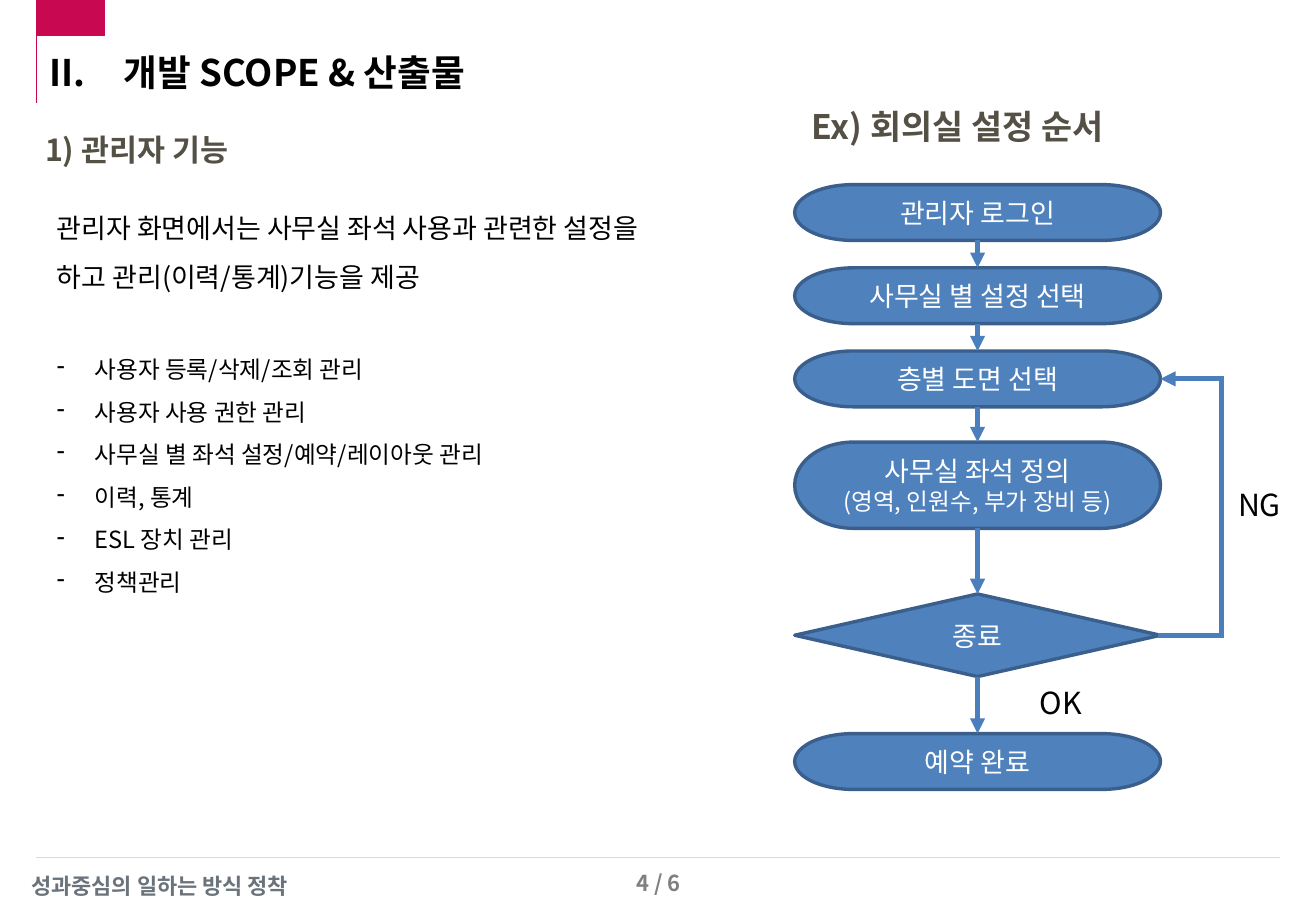
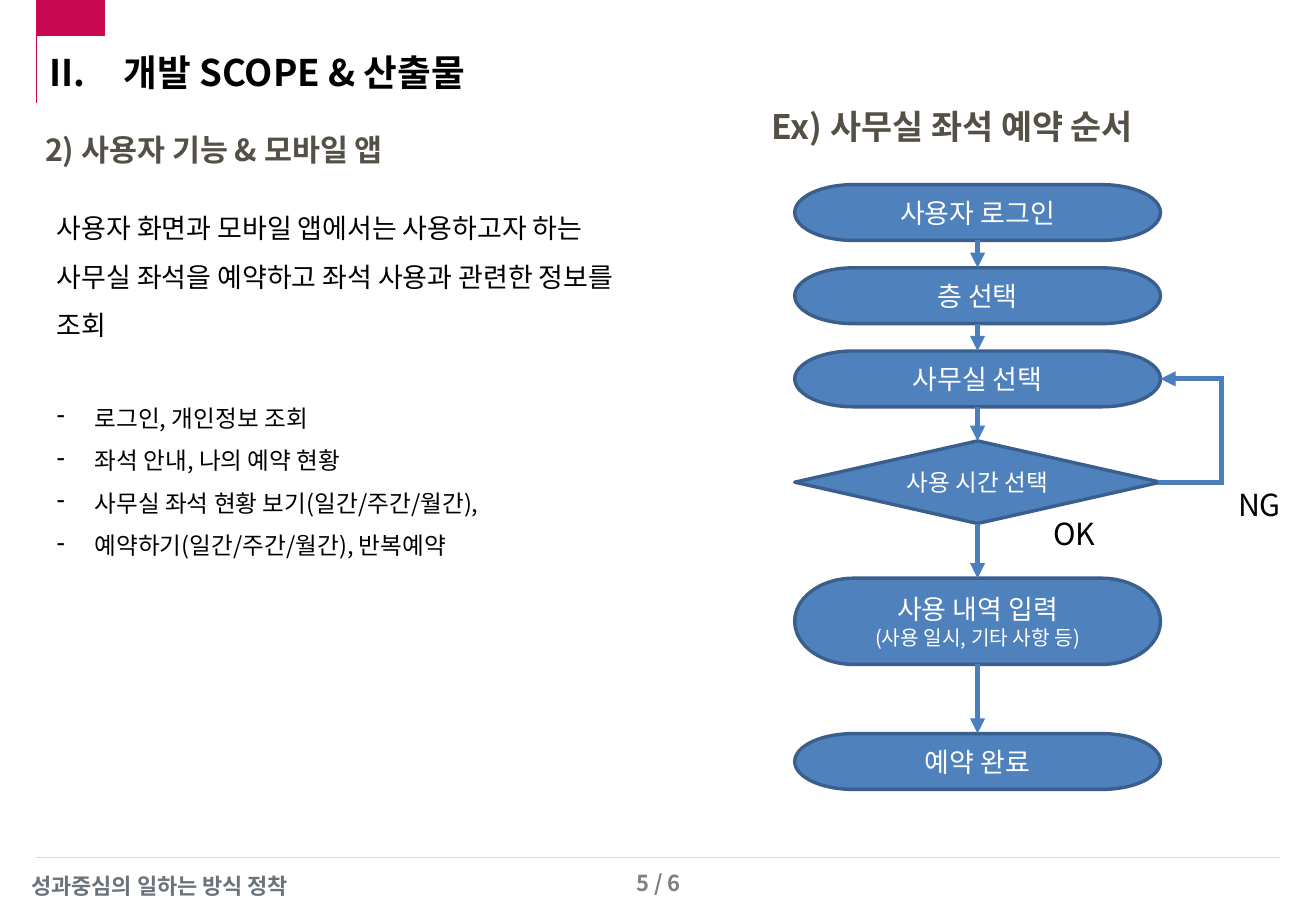
from itertools import pairwise

from lxml.etree import SubElement
from pptx import Presentation
from pptx.dml.color import RGBColor
from pptx.enum.shapes import MSO_CONNECTOR, MSO_SHAPE
from pptx.enum.text import MSO_ANCHOR, PP_ALIGN
from pptx.oxml.ns import qn
from pptx.util import Inches, Pt

WIDTH, HEIGHT = Inches(10.83), Inches(7.5)
FONT = "Noto Sans CJK KR"
COLORS = {
    "accent": "C80850", "rule": "D9D9D9", "page": "808080", "footer": "6A737B",
    "black": "000000", "heading": "545045", "white": "FFFFFF",
    "step": "4F81BD", "step edge": "3A5F8C", "arrow": "4B7EBC",
}
STYLES = {
    "title": ({"size": Pt(21.7), "bold": True}, "black"),
    "section": ({"size": Pt(18), "bold": True}, "heading"),
    "example": ({"size": Pt(20), "bold": True}, "heading"),
    "intro": ({"size": Pt(16)}, "black"),
    "item": ({"size": Pt(14)}, "black"),
    "branch": ({"size": Pt(18)}, "black"),
    "page": ({"size": Pt(13), "bold": True}, "page"),
    "footer": ({"size": Pt(13), "bold": True, "name": "Arial"}, "footer"),
}
TIGHT = {"margin_left": Inches(0.04), "margin_right": Inches(0.04),
         "margin_top": 0, "margin_bottom": 0}
FREE = {"word_wrap": False}

# Flow chart column and rows, in percent of the slide
FLOW_LEFT, FLOW_WIDTH, LOOP_X = 60.39, 27.79, 92.8
FIRST_ROW, ROW_PITCH, LAST_ROW = 20.27, 9.13, 80.53
STEP, TALL_STEP, DECISION = 6.13, 9.47, 9.07


def across(percent):
    return round(WIDTH * percent / 100)


def down(percent):
    return round(HEIGHT * percent / 100)


def place(left, top, width, height):
    """Turn percentages of the slide into a position and size."""
    return across(left), down(top), across(width), down(height)


def color(name):
    return RGBColor.from_string(COLORS[name])


def apply(target, values):
    for name, value in values.items():
        setattr(target, name, value)


def add_span(para, text, values, color_name):
    span = para.add_run()
    span.text = text
    apply(span.font, {"name": FONT} | values)
    span.font.color.rgb = color(color_name)
    SubElement(span.font._element, qn("a:ea"), typeface=FONT)


def add_text(page, area, text, style, frame_values=None, align=PP_ALIGN.LEFT):
    frame = page.shapes.add_textbox(*place(*area)).text_frame
    apply(frame, {"word_wrap": True} | (frame_values or {}))
    para = frame.paragraphs[0]
    para.alignment = align
    add_span(para, text, *STYLES[style])
    return frame


def add_bullet(para, hang, tag, **values):
    """Give a paragraph a hanging bullet or number."""
    properties = para._p.get_or_add_pPr()
    properties.set("marL", str(Inches(hang)))
    properties.set("indent", str(-Inches(hang)))
    SubElement(properties, qn(tag), **values)


def add_shape(page, kind, area, fill, edge, weight):
    shape = page.shapes.add_shape(kind, *place(*area))
    shape.shadow.inherit = False
    shape.fill.solid()
    shape.fill.fore_color.rgb = color(fill)
    shape.line.color.rgb = color(edge)
    shape.line.width = Pt(weight)
    return shape


def add_line(page, start, end, color_name, weight, arrow=False):
    """Draw between points in percent, or (shape, side) pairs that are joined."""
    points = [point if isinstance(point[0], (int, float)) else (0, 0) for point in (start, end)]
    line = page.shapes.add_connector(
        MSO_CONNECTOR.STRAIGHT,
        *(value for x, y in points for value in (across(x), down(y))))
    for target, join in ((start, line.begin_connect), (end, line.end_connect)):
        if not isinstance(target[0], (int, float)):
            join(*target)
    line.line.color.rgb = color(color_name)
    line.line.width = Pt(weight)
    outline = line.line._get_or_add_ln()
    if arrow:
        SubElement(outline, qn("a:tailEnd"), type="triangle")
    else:
        outline.set("cap", "sq")
    SubElement(line._element.spPr, qn("a:effectLst"))


def add_frame(page, number):
    """Add the band, title and footer that every page shares."""
    add_text(page, (39.61, 94.8, 20.87, 4.53), f"{number} / 6", "page", align=PP_ALIGN.CENTER)
    add_line(page, (2.77, 0), (2.77, 11.2), "accent", 0.75)
    add_shape(page, MSO_SHAPE.RECTANGLE, (2.77, 0, 5.17, 3.87), "accent", "accent", 0.5)
    add_line(page, (2.77, 94.13), (97.23, 94.13), "rule", 0.75)
    add_text(page, (1.48, 95.07, 23.82, 4.27), "성과중심의 일하는 방식 정착", "footer", FREE)
    title = add_text(page, (2.86, 4.8, 72.48, 5.2), "개발 SCOPE & 산출물", "title")
    add_bullet(title.paragraphs[0], 0.61, "a:buAutoNum", type="romanUcPeriod", startAt="2")


def add_description(page, intro, items, height):
    frame = add_text(page, (3.42, 20.8, 46.54, height), intro, "intro")
    frame.paragraphs[0].line_spacing = 1.5
    for index, item in enumerate(items):
        para = frame.add_paragraph()
        para.line_spacing = 1.5
        if index == 0:
            para.space_before = Pt(28.8)
        add_bullet(para, 0.31, "a:buChar", char="-")
        add_span(para, item, *STYLES["item"])


def add_step(page, top, height, *lines):
    kind = (MSO_SHAPE.FLOWCHART_DECISION if height == DECISION
            else MSO_SHAPE.FLOWCHART_TERMINATOR)
    step = add_shape(page, kind, (FLOW_LEFT, top, FLOW_WIDTH, height), "step", "step edge", 2)
    frame = step.text_frame
    apply(frame, {"word_wrap": True, "vertical_anchor": MSO_ANCHOR.MIDDLE})
    for index, (text, size) in enumerate(lines):
        para = frame.add_paragraph() if index else frame.paragraphs[0]
        para.alignment = PP_ALIGN.CENTER
        add_span(para, text, {"size": Pt(size)}, "white")
    return step


def add_flow(page, opening, middle, decision, ok_at):
    """Chain the steps, with a loop from the decision back to the third one."""
    rows = [(FIRST_ROW + index * ROW_PITCH, STEP, (text, 16))
            for index, text in enumerate(opening)]
    rows += middle + [(LAST_ROW, STEP, ("예약 완료", 16))]
    steps = [add_step(page, *row) for row in rows]
    for upper, lower in pairwise(steps):
        add_line(page, (upper, 2), (lower, 0), "arrow", 3, arrow=True)

    low = rows[decision][0] + DECISION / 2
    high = rows[2][0] + STEP / 2
    add_line(page, (steps[decision], 3), (LOOP_X, low), "arrow", 3)
    add_line(page, (LOOP_X, low), (LOOP_X, high), "arrow", 3)
    add_line(page, (LOOP_X, high), (steps[2], 3), "arrow", 3, arrow=True)
    for label, left, top in (("OK", *ok_at), ("NG", 93.17, 52.67)):
        add_text(page, (left, top, 5.2, 5.33), label, "branch", FREE)


PAGES = [
    {
        "number": 4,
        "section": "1) 관리자 기능",
        "example": ("Ex) 회의실 설정 순서", 61.31, 25.39),
        "description": (
            "관리자 화면에서는 사무실 좌석 사용과 관련한 설정을 하고 관리(이력/통계)기능을 제공",
            ["사용자 등록/삭제/조회 관리", "사용자 사용 권한 관리",
             "사무실 별 좌석 설정/예약/레이아웃 관리", "이력, 통계",
             "ESL 장치 관리", "정책관리"], 45.73),
        "flow": (
            ["관리자 로그인", "사무실 별 설정 선택", "층별 도면 선택"],
            [(48.53, TALL_STEP, ("사무실 좌석 정의", 16), ("(영역, 인원수, 부가 장비 등)", 14)),
             (65.2, DECISION, ("종료", 16))],
            4, (78.12, 74.4)),
    },
    {
        "number": 5,
        "section": "2) 사용자 기능 & 모바일 앱",
        "example": ("Ex) 사무실 좌석 예약 순서", 58.26, 32.13),
        "description": (
            "사용자 화면과 모바일 앱에서는 사용하고자 하는 사무실 좌석을 예약하고 "
            "좌석 사용과 관련한 정보를 조회",
            ["로그인, 개인정보 조회", "좌석 안내, 나의 예약 현황",
             "사무실 좌석 현황 보기(일간/주간/월간),",
             "예약하기(일간/주간/월간), 반복예약"], 41.73),
        "flow": (
            ["사용자 로그인", "층 선택", "사무실 선택"],
            [(48.4, DECISION, ("사용 시간 선택", 14)),
             (63.47, TALL_STEP, ("사용 내역 입력", 16), ("(사용 일시, 기타 사항 등)", 12))],
            3, (79.13, 55.87)),
    },
]


def main():
    deck = Presentation()
    apply(deck, {"slide_width": WIDTH, "slide_height": HEIGHT})
    for content in PAGES:
        page = deck.slides.add_slide(deck.slide_layouts[6])
        add_frame(page, content["number"])
        add_text(page, (3.05, 14.4, 39.15, 4), content["section"], "section", TIGHT)
        example, left, width = content["example"]
        add_text(page, (left, 11.6, width, 4.53), example, "example", TIGHT)
        add_flow(page, *content["flow"])
        add_description(page, *content["description"])
    deck.save("out.pptx")


if __name__ == "__main__":
    main()
